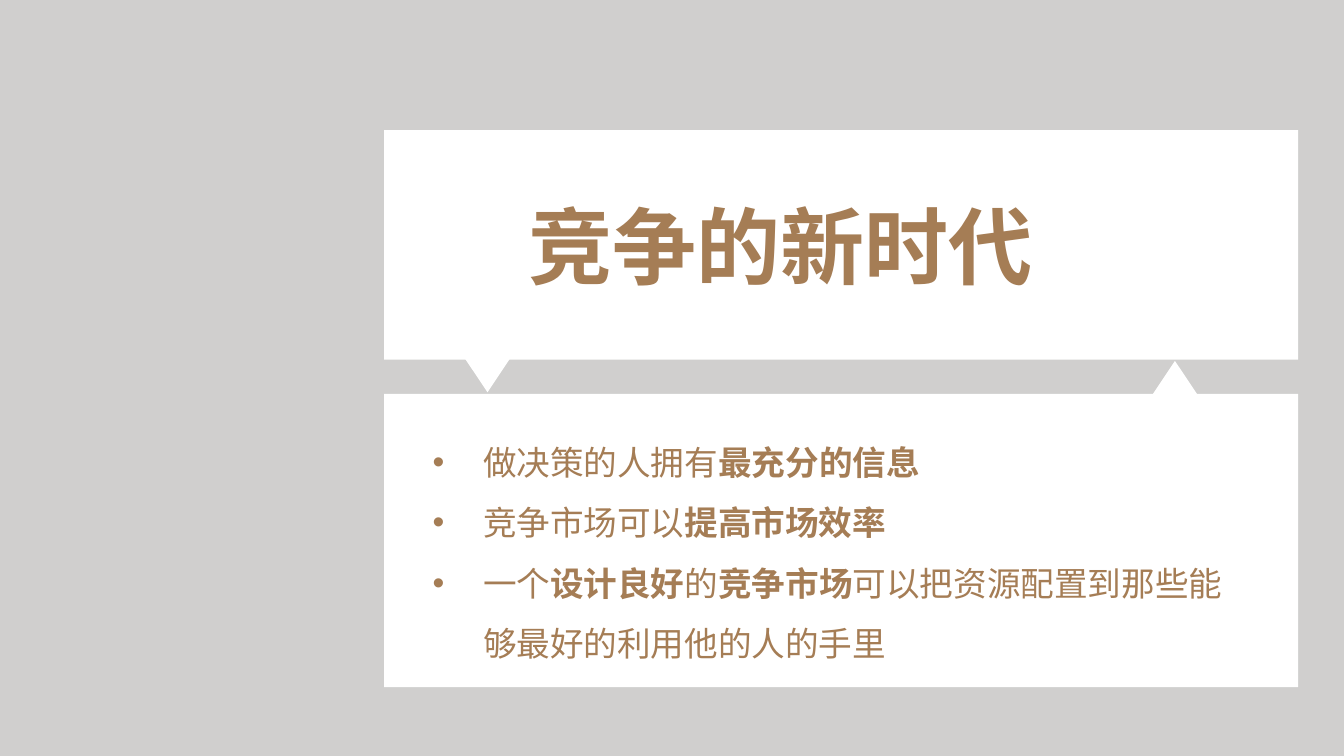
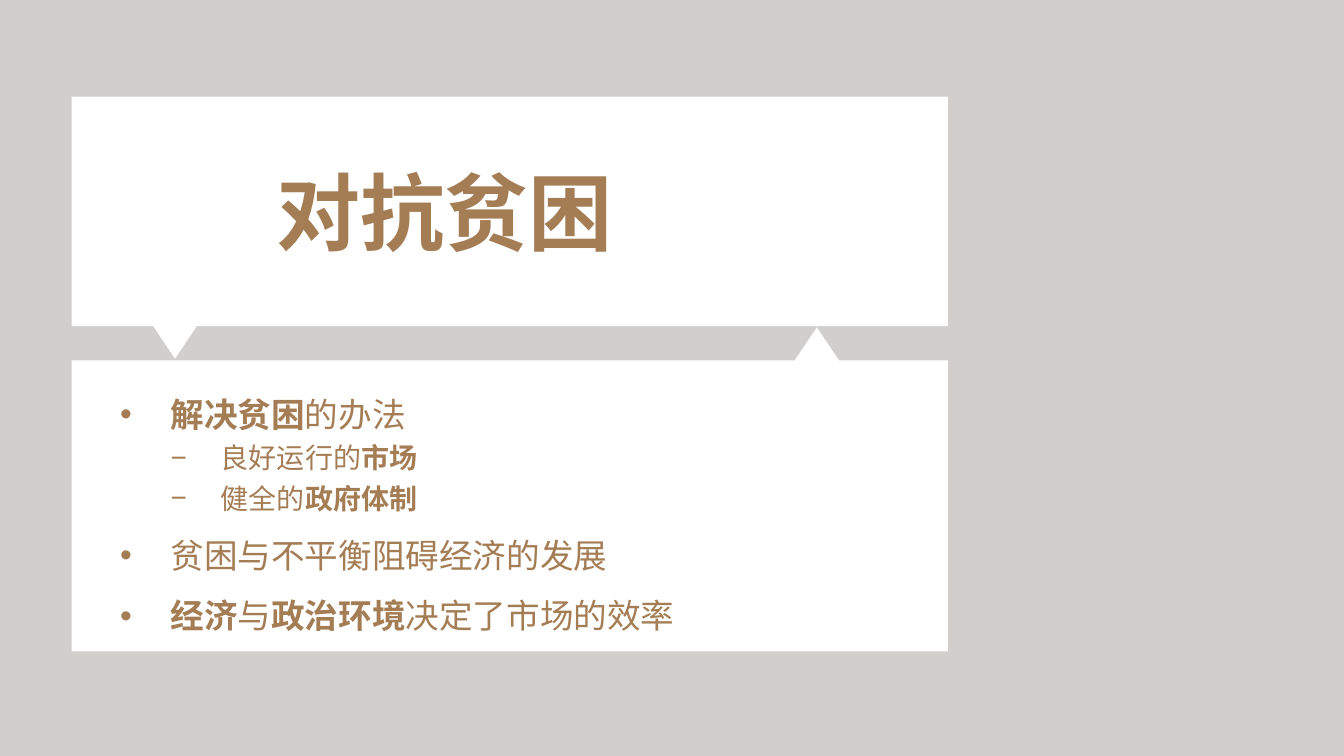
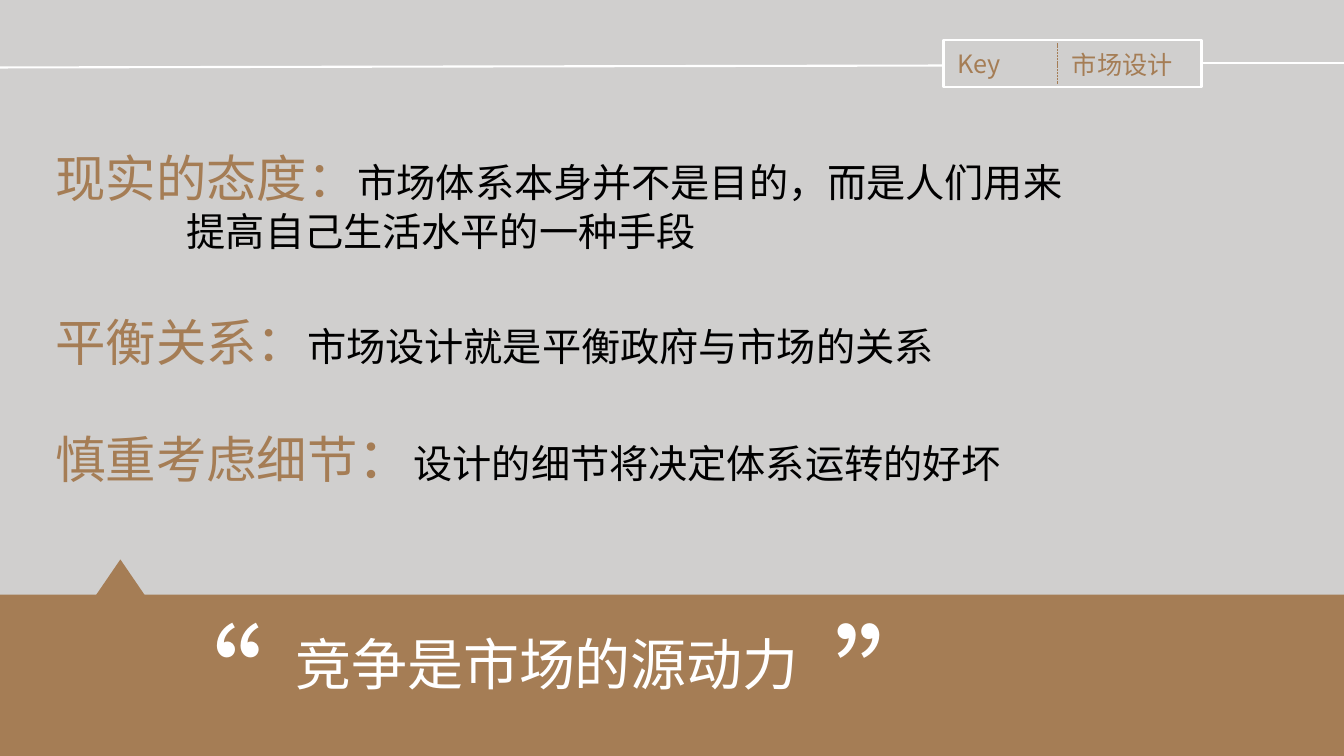
from dataclasses import dataclass
from typing import NamedTuple

import lxml.etree
import pptx
import pptx.dml.color
import pptx.enum.dml
import pptx.enum.shapes
import pptx.enum.text
import pptx.oxml.ns
import pptx.util

Pt = pptx.util.Pt
Shape = pptx.enum.shapes.MSO_SHAPE
Align = pptx.enum.text.PP_ALIGN

GREY, BROWN, WHITE, BLACK = "D0CFCE", "A57D55", "FFFFFF", "000000"
FONT = "Noto Sans CJK SC"
SLIDE_WIDTH, SLIDE_HEIGHT = 960, 540

TITLE_AND_CONTENT, TITLE_ONLY = 1, 5

CARD_HEIGHT = 164
CARD_STEP = 188.4
POINTER_WIDTH, POINTER_HEIGHT = 62.6, 46.8
POINTER_RISE = 23.6
TAIL_INSET = 42.5
HANGING = 36


class Box(NamedTuple):
    left: float
    top: float
    width: float
    height: float


class Run(NamedTuple):
    text: str
    bold: bool | None = None
    size: float | None = None
    color: str | None = None


class Level(NamedTuple):
    bullet: str
    size: float
    line_spacing: float


class Item(NamedTuple):
    runs: list[Run]
    level: int = 0


class Point(NamedTuple):
    top: float
    height: float
    runs: list[Run]


@dataclass
class CardSlide:
    title: str
    card: Box
    title_inset: float
    title_width: float
    list_height: float
    pointer_left: float
    body_inset: float
    items: list[Item]


LEVELS = [Level("•", 24, 1.5), Level("−", 20, 1.2)]

CARD_SLIDES = [
    CardSlide(
        "竞争的新时代", Box(274.4, 93, 653, CARD_HEIGHT), 95.8, 463, 209.4, 808, 16,
        [
            Item([Run("做决策的人拥有"), Run("最充分的信息", True)]),
            Item([Run("竞争市场可以"), Run("提高市场效率", True)]),
            Item([Run("一个"), Run("设计良好", True), Run("的"), Run("竞争市场", True),
                  Run("可以把资源配置到那些能够最好的利用他的人的手里")]),
        ],
    ),
    CardSlide(
        "对抗贫困", Box(51.2, 69, 626, CARD_HEIGHT), 139, 348.5, 208, 552.2, 5.8,
        [
            Item([Run("解决贫困", True), Run("的办法")]),
            Item([Run("良好运行的"), Run("市场", True)], 1),
            Item([Run("健全的"), Run("政府体制", True)], 1),
            Item([Run("贫困与不平衡阻碍经济的发展")]),
            Item([Run("经济", True), Run("与"), Run("政治环境", True),
                  Run("决定了市场的效率")]),
        ],
    ),
]

POINTS = [
    Point(101.5, 85, [
        Run("现实的态度：", size=36, color=BROWN),
        Run("市场体系本身并不是目的，而是人们用来提高自己生活水平的一种手段",
            size=28, color=BLACK)]),
    Point(219, 51, [
        Run("平衡关系：", size=36, color=BROWN),
        Run("市场设计就是平衡政府与市场的关系", size=28, color=BLACK)]),
    Point(298, 55.4, [
        Run("慎重考虑细节", size=36, color=BROWN),
        Run("：", size=40, color=BROWN),
        Run("设计的细节将决定体系运转的好坏", size=28, color=BLACK)]),
]


def rgb(color: str) -> pptx.dml.color.RGBColor:
    return pptx.dml.color.RGBColor.from_string(color)


def place(shape, box: Box) -> None:
    shape.left, shape.top, shape.width, shape.height = map(Pt, box)


def add_filled(slide, kind, box: Box, fill: str, outline: str | None = None):
    shape = slide.shapes.add_shape(kind, *map(Pt, box))
    shape.shadow.inherit = False
    shape.fill.solid()
    shape.fill.fore_color.rgb = rgb(fill)
    if outline:
        shape.line.color.rgb = rgb(outline)
        shape.line.width = Pt(1.5)
    else:
        shape.line.fill.background()
    return shape


def add_line(slide, start: tuple[float, float], end: tuple[float, float],
             color: str = WHITE, width: float = 1.5):
    line = slide.shapes.add_connector(
        pptx.enum.shapes.MSO_CONNECTOR.STRAIGHT, *map(Pt, start + end))
    line.line.color.rgb = rgb(color)
    line.line.width = Pt(width)
    properties = line.element.find(pptx.oxml.ns.qn("p:spPr"))
    lxml.etree.SubElement(properties, pptx.oxml.ns.qn("a:effectLst"))
    return line


def prepare_frame(shape):
    frame = shape.text_frame
    frame.word_wrap = True
    frame.auto_size = pptx.enum.text.MSO_AUTO_SIZE.NONE
    frame.vertical_anchor = pptx.enum.text.MSO_ANCHOR.TOP
    return frame


def set_indent(paragraph, margin: float, first_line: float) -> None:
    properties = paragraph._p.get_or_add_pPr()
    properties.set("marL", str(int(Pt(margin))))
    properties.set("indent", str(int(Pt(first_line))))


def set_bullet(paragraph, character: str) -> None:
    properties = paragraph._p.get_or_add_pPr()
    for tag, attribute, value in (("a:buFont", "typeface", "Arial"),
                                  ("a:buChar", "char", character)):
        element = lxml.etree.SubElement(properties, pptx.oxml.ns.qn(tag))
        element.set(attribute, value)


def write(paragraph, runs: list[Run], size: float | None = None,
          color: str | None = None, bold: bool | None = None) -> None:
    """Add the runs; size, colour and weight given here hold for all of them."""
    font = paragraph.font
    font.bold = bold
    if size:
        font.size = Pt(size)
    if color:
        font.color.rgb = rgb(color)
    font.name = FONT
    defaults = paragraph._p.pPr.find(pptx.oxml.ns.qn("a:defRPr"))
    east_asian = lxml.etree.SubElement(defaults, pptx.oxml.ns.qn("a:ea"))
    east_asian.set("typeface", FONT)
    for part in runs:
        run = paragraph.add_run()
        run.text = part.text
        run.font.bold = part.bold
        if part.size:
            run.font.size = Pt(part.size)
        if part.color:
            run.font.color.rgb = rgb(part.color)


def add_text(slide, box: Box, text: str, size: float, color: str) -> None:
    frame = prepare_frame(slide.shapes.add_textbox(*map(Pt, box)))
    write(frame.paragraphs[0], [Run(text)], size, color)


def set_title(slide, box: Box, text: str, size: float, alignment,
              bold: bool) -> None:
    title = slide.shapes.title
    place(title, box)
    paragraph = prepare_frame(title).paragraphs[0]
    paragraph.alignment = alignment
    write(paragraph, [Run(text)], size, BROWN, bold)
    bring_to_front(slide, title)


def bring_to_front(slide, shape) -> None:
    slide.shapes.element.append(shape.element)


def set_list(slide, box: Box, items: list[Item]) -> None:
    body = slide.placeholders[1]
    place(body, box)
    frame = prepare_frame(body)
    for index, item in enumerate(items):
        paragraph = frame.add_paragraph() if index else frame.paragraphs[0]
        level = LEVELS[item.level]
        paragraph.level = item.level
        paragraph.line_spacing = level.line_spacing
        paragraph.space_before = Pt(0)
        set_indent(paragraph, HANGING * (item.level + 1), -HANGING)
        set_bullet(paragraph, level.bullet)
        write(paragraph, item.runs, level.size, BROWN)
    bring_to_front(slide, body)


def add_slide(presentation, layout: int):
    return presentation.slides.add_slide(presentation.slide_layouts[layout])


def build_card_slide(presentation, content: CardSlide) -> None:
    """Two white cards whose triangles point at each other."""
    slide = add_slide(presentation, TITLE_AND_CONTENT)
    card = content.card
    list_card = Box(card.left, card.top + CARD_STEP, card.width, content.list_height)
    pointer_top = list_card.top - POINTER_RISE

    add_filled(slide, Shape.RECTANGLE, card, WHITE)
    tail = add_filled(slide, Shape.ISOSCELES_TRIANGLE,
                      Box(card.left + TAIL_INSET, pointer_top - POINTER_RISE - 0.8,
                          POINTER_WIDTH, POINTER_HEIGHT), WHITE)
    tail.rotation = 180
    add_filled(slide, Shape.RECTANGLE, list_card, WHITE)
    add_filled(slide, Shape.ISOSCELES_TRIANGLE,
               Box(content.pointer_left, pointer_top, POINTER_WIDTH, POINTER_HEIGHT),
               WHITE)

    set_title(slide, Box(card.left + content.title_inset, card.top + 42.2,
                         content.title_width, 80),
              content.title, 60, Align.JUSTIFY, True)
    set_list(slide, Box(card.left + 27.4, list_card.top + content.body_inset, 599, 190),
             content.items)


def build_key_slide(presentation) -> None:
    slide = add_slide(presentation, TITLE_ONLY)
    tag = Box(674, 28.8, 184.3, 33.2)
    tag_right, divider = tag.left + tag.width, 755.3

    add_line(slide, (0, 48.2), (tag.left, 46.8))
    add_filled(slide, Shape.RECTANGLE, tag, GREY, WHITE)
    add_line(slide, (tag_right, 45.2), (SLIDE_WIDTH, 45.2))
    add_line(slide, (divider, 31), (divider, 60), BROWN, 0.5).line.dash_style = (
        pptx.enum.dml.MSO_LINE.SQUARE_DOT)
    add_text(slide, Box(677, 31, 75, 29), "Key", 18, BROWN)
    set_title(slide, Box(758.5, 31.7, 98, 29), "市场设计", 18, Align.LEFT, False)

    for point in POINTS:
        box = Box(32.4, point.top, 745, point.height)
        frame = prepare_frame(slide.shapes.add_textbox(*map(Pt, box)))
        set_indent(frame.paragraphs[0], 94, -94)
        write(frame.paragraphs[0], point.runs)

    band_top = 424.8
    add_filled(slide, Shape.RECTANGLE,
               Box(0, band_top, SLIDE_WIDTH, SLIDE_HEIGHT - band_top), BROWN)
    add_filled(slide, Shape.ISOSCELES_TRIANGLE, Box(54, 399.6, 64, 46.8), BROWN)
    add_text(slide, Box(203.8, 446.4, 378, 55.4), "竞争是市场的源动力", 40, WHITE)
    for left, mark in ((93.6, "“"), (588.2, "”")):
        add_text(slide, Box(left, 428.4, 104, 113.8), mark, 88, WHITE)


def main() -> None:
    presentation = pptx.Presentation()
    presentation.slide_width = Pt(SLIDE_WIDTH)
    presentation.slide_height = Pt(SLIDE_HEIGHT)
    background = presentation.slide_master.background.fill
    background.solid()
    background.fore_color.rgb = rgb(GREY)

    for content in CARD_SLIDES:
        build_card_slide(presentation, content)
    build_key_slide(presentation)
    presentation.save("out.pptx")


if __name__ == "__main__":
    main()
